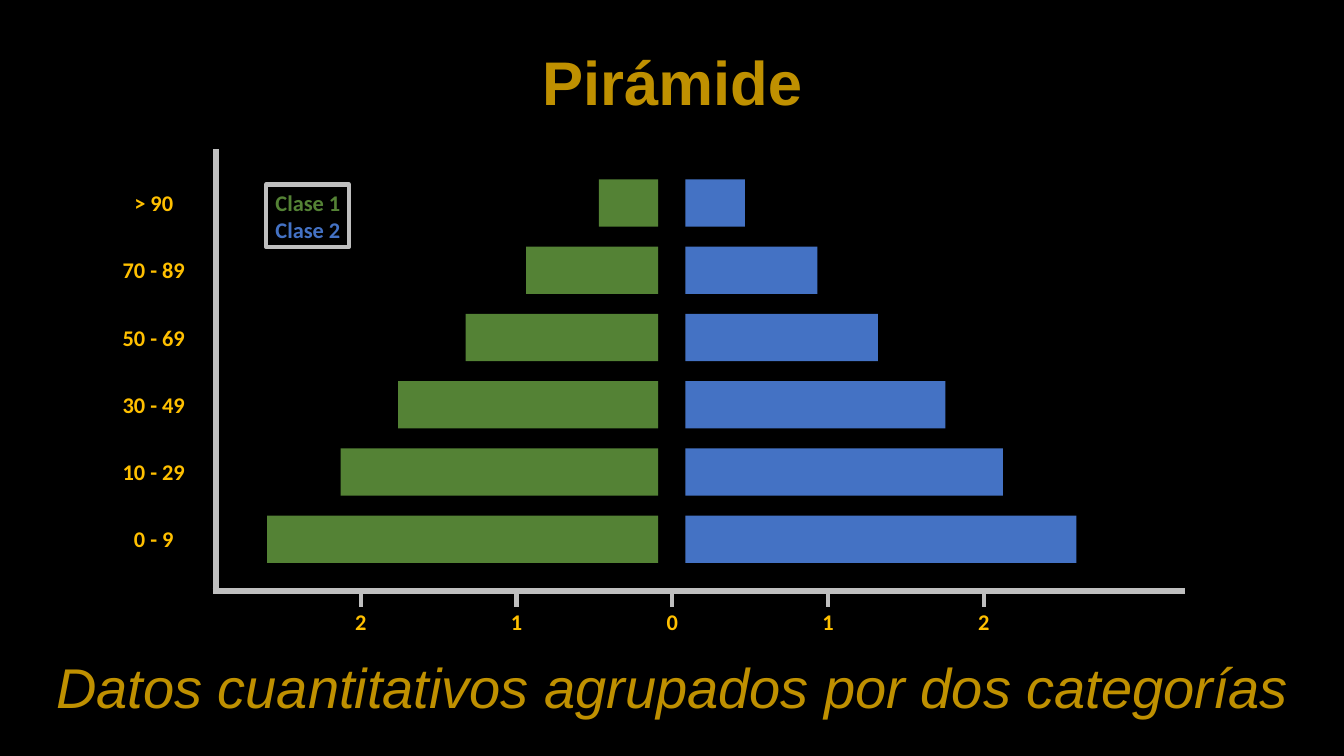
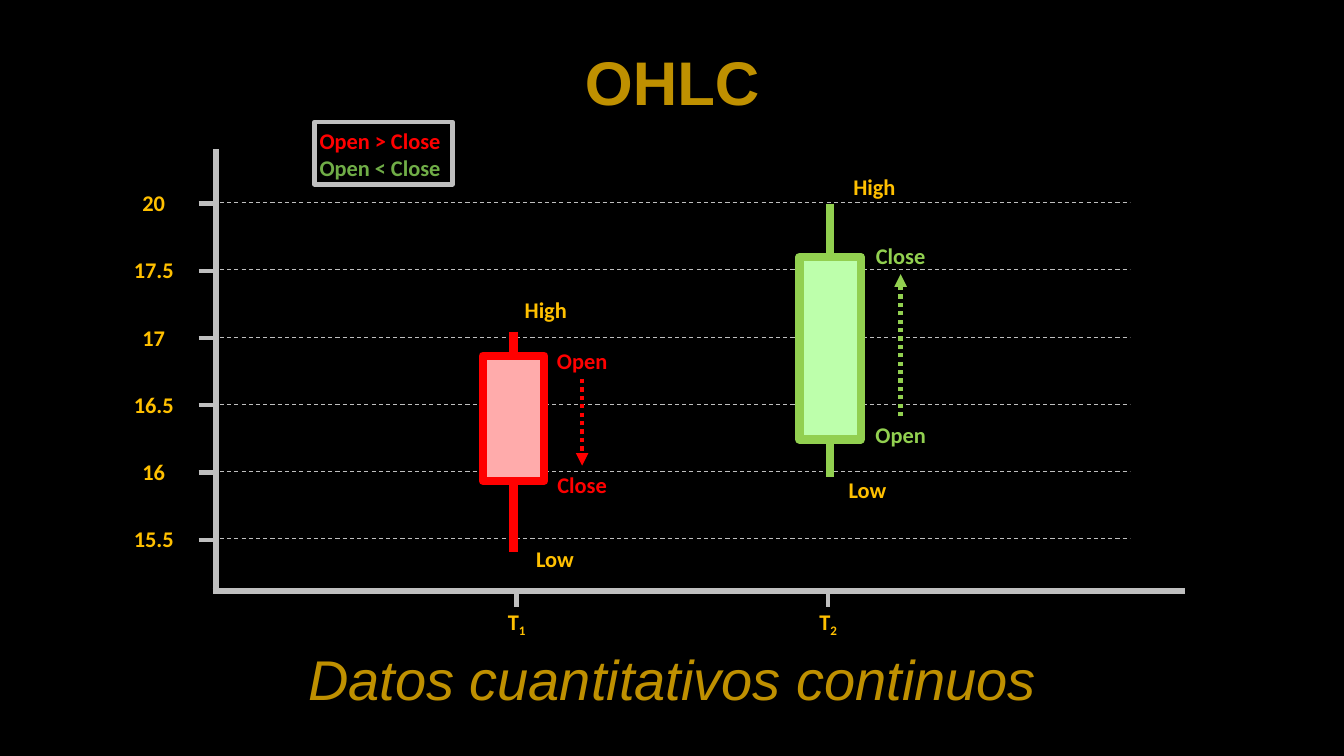
from typing import NamedTuple

from lxml.etree import SubElement
from pptx import Presentation
from pptx.dml.color import RGBColor
from pptx.enum.dml import MSO_LINE
from pptx.enum.shapes import MSO_CONNECTOR, MSO_SHAPE
from pptx.enum.text import PP_ALIGN
from pptx.oxml.ns import qn
from pptx.util import Emu, Pt

PX = 9144  # EMU, 100 px to the inch
COLORS = {
    "background": "000000",
    "heading": "BF9000",
    "label": "FFC000",
    "axis": "BFBFBF",
    "class_1": "548235",
    "class_2": "4472C4",
    "fall": "FF0000",
    "fall_fill": "FFABAB",
    "rise": "92D050",
    "rise_fill": "BDFFAB",
    "rise_key": "70AD47",
}
ROW_COUNT = 6
ROW_PITCH = 66.7
COLUMN_PITCH = 154.5
LABEL_WIDTH, LABEL_HEIGHT = 111, 37


class Box(NamedTuple):
    left: float
    top: float
    width: float
    height: float

    @property
    def right(self):
        return self.left + self.width

    @property
    def bottom(self):
        return self.top + self.height


class Candle(NamedTuple):
    """Body box, wick lengths, and label offsets from the body and wick ends."""
    tone: str
    body: Box
    wick_above: int
    wick_below: int
    side_labels: tuple
    side_x: int
    side_offsets: tuple
    high_offset: tuple
    low_offset: tuple


PLOT = Box(214, 148, 962, 438)
AGE_GROUPS = (
    ("> 90", 59), ("70 - 89", 131), ("50 - 69", 191),
    ("30 - 49", 258), ("10 - 29", 315), ("0 - 9", 388),
)
PRICES = ("20", "17.5", "17", "16.5", "16", "15.5")
CANDLES = (
    Candle("fall", Box(479, 353, 61, 124), 24, 71, ("Open", "Close"),
           43, (-14, -15), (7, -40), (16, -12)),
    Candle("rise", Box(793, 255, 61, 181), 53, 37, ("Close", "Open"),
           45, (-20, -23), (19, -35), (12, -6)),
)


def px(length):
    return Emu(round(length * PX))


def rgb(name):
    return RGBColor.from_string(COLORS[name])


def add_text(page, box, text, *, colors=("label",), size=16, font="Calibri",
             bold=True, italic=False, subscript=""):
    """Centred text, one colour for each line."""
    frame = page.shapes.add_textbox(*map(px, box)).text_frame
    frame.word_wrap = True
    for index, (line, color) in enumerate(zip(text.split("\n"), colors)):
        para = frame.add_paragraph() if index else frame.paragraphs[0]
        para.alignment = PP_ALIGN.CENTER
        for part in filter(None, (line, subscript)):
            span = para.add_run()
            span.text = part
            span.font.name, span.font.size = font, Pt(size)
            span.font.bold, span.font.italic = bold, italic
            span.font.color.rgb = rgb(color)
        if subscript:
            span.font._element.set("baseline", "-25000")


def add_label(page, left, top, text, color="label"):
    add_text(page, Box(left, top, LABEL_WIDTH, LABEL_HEIGHT), text, colors=(color,))


def add_line(page, start, end, *, color="axis", width=3, dash=None, arrow=False):
    line = page.shapes.add_connector(MSO_CONNECTOR.STRAIGHT, *map(px, start + end))
    line.line.color.rgb = rgb(color)
    line.line.width = Pt(width)
    if dash:
        line.line.dash_style = dash
    properties = line._element.spPr
    if arrow:
        SubElement(properties.find(qn("a:ln")), qn("a:tailEnd"), type="triangle")
    SubElement(properties, qn("a:effectLst"))


def add_rectangle(page, box, *, fill=None, line=None, width=3):
    shape = page.shapes.add_shape(MSO_SHAPE.RECTANGLE, *map(px, box))
    shape.shadow.inherit = False
    if fill:
        shape.fill.solid()
        shape.fill.fore_color.rgb = rgb(fill)
    else:
        shape.fill.background()
    if line:
        shape.line.color.rgb = rgb(line)
        shape.line.width = Pt(width)
    else:
        shape.line.fill.background()


def add_page(deck, title, caption, caption_top):
    page = deck.slides.add_slide(deck.slide_layouts[6])
    page.background.fill.solid()
    page.background.fill.fore_color.rgb = rgb("background")
    add_text(page, Box(522, 39, 290, 84), title,
             colors=("heading",), size=44, font="Arial")
    add_text(page, Box(29, caption_top, 1275, 77), caption,
             colors=("heading",), size=40, font="Arial", bold=False, italic=True)
    return page


def row_centers(box):
    return [box.top + 54 + ROW_PITCH * row for row in range(ROW_COUNT)]


def column_center(box, column):
    """Horizontal place of a tick, counted from the middle one."""
    return box.left + 453 + COLUMN_PITCH * column


def add_axes(page, box, row_labels, column_labels):
    """Both axes, with columns as (position, text, subscript)."""
    add_line(page, (box.left, box.top), (box.left, box.bottom + 3), width=4.5)
    add_line(page, (box.left - 3, box.bottom), (box.right, box.bottom), width=4.5)
    for center, text in zip(row_centers(box), row_labels):
        add_label(page, box.left - 117, center - 19, text)
    for column, text, subscript in column_labels:
        center = column_center(box, column)
        add_line(page, (center, box.bottom), (center, box.bottom + 16))
        add_text(page, Box(center - 22.5, box.bottom + 12, 45, LABEL_HEIGHT),
                 text, subscript=subscript)


def add_legend(page, frame, text_box, text, colors):
    add_text(page, text_box, text, colors=colors)
    add_rectangle(page, frame, line="axis")


def add_bars(page, box):
    middle = column_center(box, 0)
    for center, (_, length) in zip(row_centers(box), AGE_GROUPS):
        top = center - 24
        add_rectangle(page, Box(middle - 14 - length, top, length, 47), fill="class_1")
        add_rectangle(page, Box(middle + 13, top, length, 47), fill="class_2")


def add_grid(page, box):
    for center in row_centers(box):
        add_line(page, (box.left - 17, center), (box.left + 1, center))
        add_line(page, (box.left - 3, center - 1), (box.right - 55, center - 1),
                 width=0.75, dash=MSO_LINE.DASH)


def add_candle(page, candle):
    body, tone = candle.body, candle.tone
    middle = body.left + body.width / 2
    high, low = body.top - candle.wick_above, body.bottom + candle.wick_below
    add_line(page, (middle, high), (middle, low), color=tone, width=6)
    add_rectangle(page, body, fill=f"{tone}_fill", line=tone, width=6)

    ends = (("High", high, candle.high_offset), ("Low", low, candle.low_offset))
    for text, end, (across, down) in ends:
        add_label(page, body.left + across, end + down, text)

    side = body.left + candle.side_x
    upper = body.top + candle.side_offsets[0]
    lower = body.bottom + candle.side_offsets[1]
    for text, top in zip(candle.side_labels, (upper, lower)):
        add_label(page, side, top, text, tone)
    arrow_x = side + LABEL_WIDTH / 2
    points = [(arrow_x, upper + LABEL_HEIGHT), (arrow_x, lower)]
    if tone == "rise":
        points.reverse()
    add_line(page, *points, color=tone, dash=MSO_LINE.ROUND_DOT, arrow=True)


def add_pyramid_page(deck, box):
    page = add_page(deck, "Pirámide",
                    "Datos cuantitativos agrupados por dos categorías", 642)
    add_bars(page, box)
    add_axes(page, box, [name for name, _ in AGE_GROUPS],
             [(column, str(abs(column)), "") for column in range(-2, 3)])
    add_legend(page, Box(box.left + 50, box.top + 35, 82, 62),
               Box(box.left + 36, box.top + 35, LABEL_WIDTH, 64),
               "Clase 1\nClase 2", ("class_1", "class_2"))


def add_ohlc_page(deck, box):
    page = add_page(deck, "OHLC", "Datos cuantitativos continuos", 635)
    add_axes(page, box, PRICES, [(-1, "T", "1"), (1, "T", "2")])
    add_grid(page, box)
    for candle in CANDLES:
        add_candle(page, candle)
    add_legend(page, Box(box.left + 98, box.top - 27, 137, 62),
               Box(box.left + 92, box.top - 27, 142, 64),
               "Open > Close\nOpen < Close", ("fall", "rise_key"))


def main():
    deck = Presentation()
    deck.slide_width, deck.slide_height = px(1333.33), px(750)
    add_pyramid_page(deck, PLOT)
    add_ohlc_page(deck, PLOT)
    deck.save("out.pptx")


if __name__ == "__main__":
    main()
